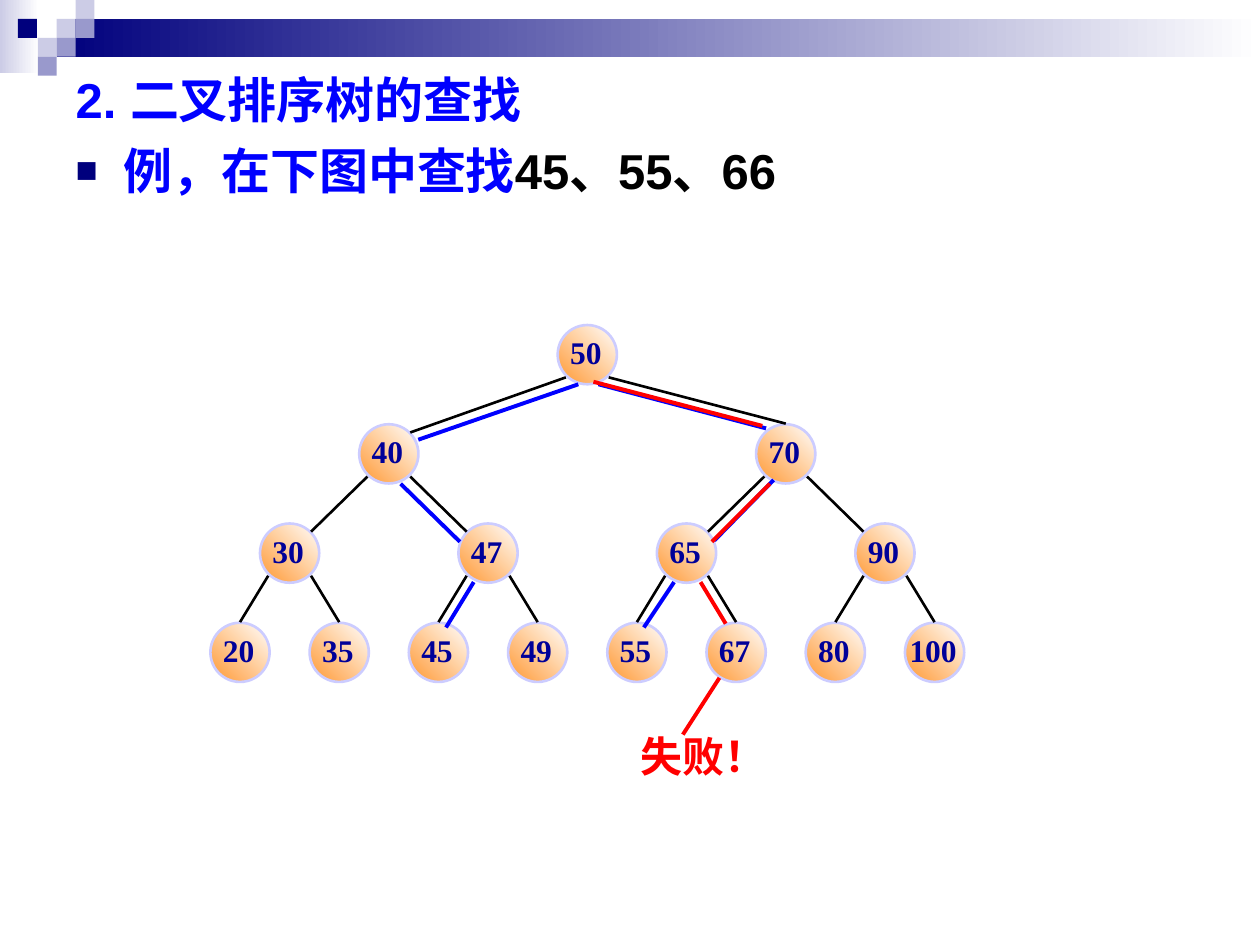
"""Build a slide that traces three searches through a binary search tree."""
from lxml.etree import SubElement
from pptx import Presentation
from pptx.dml.color import RGBColor
from pptx.enum.shapes import MSO_CONNECTOR, MSO_SHAPE
from pptx.enum.text import MSO_ANCHOR, MSO_AUTO_SIZE, PP_ALIGN
from pptx.oxml.ns import qn
from pptx.util import Inches, Pt

color = RGBColor.from_string
deck = Presentation()
deck.slide_width, deck.slide_height = Inches(10), Inches(7.5)
cell = deck.slide_width / 100


def grid(*counts):
    """Turn counts of grid cells into lengths."""
    return [round(count * cell) for count in counts]


def link(ends, hue, weight):
    """Draw a straight line between two grid points."""
    line = slide.shapes.add_connector(MSO_CONNECTOR.STRAIGHT, *grid(*ends))
    line.line.color.rgb = color(hue)
    line.line.width = Pt(weight)
    SubElement(line._element.spPr, qn("a:effectLst"))


slide = deck.slides.add_slide(deck.slide_layouts[1])
heading = slide.shapes.title._element
heading.getparent().remove(heading)

blends = []
for place, start, end in [((0, 0, 3.1, 5.8), "CCCCE6", "FFFFFF"),
                          ((4.5, 1.5, 95.5, 3), "00007D", "FFFFFF")]:
    band = slide.shapes.add_shape(MSO_SHAPE.RECTANGLE, *grid(*place))
    band.shadow.inherit = False
    band.line.fill.background()
    blends.append((band, start, end, 0))

mosaic = [(3, 1, "CCCCE6"), (4, 0, "CCCCE6"), (4, 1, "9999CC"), (2, 2, "CCCCE6"),
          (0.95, 1, "00007D"), (3, 2, "9999CC"), (2, 3, "9999CC")]
for column, row, hue in mosaic:
    tile = slide.shapes.add_shape(
        MSO_SHAPE.RECTANGLE, *grid(column * 1.5, row * 1.5, 1.5, 1.5))
    tile.shadow.inherit = False
    tile.fill.solid()
    tile.fill.fore_color.rgb = color(hue)
    tile.line.fill.background()

topic = slide.placeholders[1]
topic.left, topic.top, topic.width, topic.height = grid(5, 5, 90, 70)
topic.text_frame.auto_size = MSO_AUTO_SIZE.NONE
section = topic.text_frame.paragraphs[0]
section.text = "2. 二叉排序树的查找"
example = topic.text_frame.add_paragraph()
example.text = "例，在下图中查找"
example.add_run().text = "45、55、66"
for paragraph, gap in [(section, 0), (example, 7)]:
    paragraph.space_before = Pt(gap)
    layout = paragraph._p.get_or_add_pPr()
    layout.set("marL", str(Inches(0.38)))
    layout.set("indent", str(-Inches(0.38)))
    for run in paragraph.runs:
        run.font.name, run.font.size, run.font.bold = "Arial", Pt(28), True
        run.font.color.rgb = color("0000FF")
example.runs[1].font.color.rgb = color("000000")
SubElement(section._p.pPr, qn("a:buNone"))
bullet = example._p.pPr
SubElement(SubElement(bullet, qn("a:buClr")), qn("a:srgbClr"), val="00007D")
SubElement(bullet, qn("a:buSzPct"), val="75000")
SubElement(bullet, qn("a:buFont"), typeface="Arial")
SubElement(bullet, qn("a:buChar"), char="■")

levels = [[50], [40, 70], [30, 47, 65, 90], [20, 35, 45, 49, 55, 67, 80, 100]]
pitch, diameter, rim = 63 / 8, 4.7, 1.7
centers = {}
for depth, keys in enumerate(levels):
    span = 8 / len(keys)
    for index, key in enumerate(keys):
        x = 19.05 + pitch * (span * (index + 0.5) - 0.5)
        y = 28.15 + pitch * depth
        centers[key] = x, y
        node = slide.shapes.add_shape(
            MSO_SHAPE.OVAL,
            *grid(x - diameter / 2, y - diameter / 2, diameter, diameter))
        node.shadow.inherit = False
        node.line.color.rgb = color("CCCCFF")
        node.line.width = Pt(1.5)
        blends.append((node, "FF9933", "FFFFFF", 45))
        label = node.text_frame
        label.word_wrap = False
        label.vertical_anchor = MSO_ANCHOR.MIDDLE
        (label.margin_left, label.margin_top,
         label.margin_right, label.margin_bottom) = grid(1, 0.1, 1.2, 0.5)
        label.text = str(key)
        label.paragraphs[0].alignment = PP_ALIGN.CENTER
        font = label.paragraphs[0].runs[0].font
        font.name, font.size, font.bold = "Times New Roman", Pt(18), True
        font.color.rgb = color("000099")

for shape, start, end, angle in blends:
    shape.fill.gradient()
    shape.fill.gradient_angle = angle
    for stop, hue in zip(shape.fill.gradient_stops, (start, end)):
        stop.color.rgb = color(hue)

for parents, children in zip(levels, levels[1:]):
    for index, child in enumerate(children):
        side = 1 if index % 2 else -1
        px, py = centers[parents[index // 2]]
        x, y = centers[child]
        meets_top = child == 70 or children is levels[-1]
        tip = (x, y - 2.4) if meets_top else (x - side * rim, y - rim)
        link((px + side * rim, py + 1.8, *tip), "000000", 1.5)

searches = {
    "0000FF": [(45.9, 30.5, 33.2, 34.9), (36.5, 43, 31.8, 38.4),
               (35.4, 49.8, 37.6, 46.2), (47.5, 30.5, 60.8, 34),
               (61.4, 38.1, 56.7, 42.9), (53.5, 46.2, 51.1, 49.8)],
    "FF0000": [(47.1, 30.3, 60.5, 33.8), (61.1, 38.4, 56.5, 43),
               (55.6, 46.2, 57.6, 49.5), (57.1, 53.8, 54.2, 58.3)],
}
for hue, steps in searches.items():
    for step in steps:
        link(step, hue, 2.25)

failure = slide.shapes.add_textbox(*grid(49.2, 57.5, 13.3, 5)).text_frame
failure.word_wrap = True
failure.text = "失败！"
failure.paragraphs[0].alignment = PP_ALIGN.CENTER
verdict = failure.paragraphs[0].runs[0].font
verdict.name, verdict.size, verdict.bold = "Arial", Pt(24), True
verdict.color.rgb = color("FF0000")

deck.save("out.pptx")
